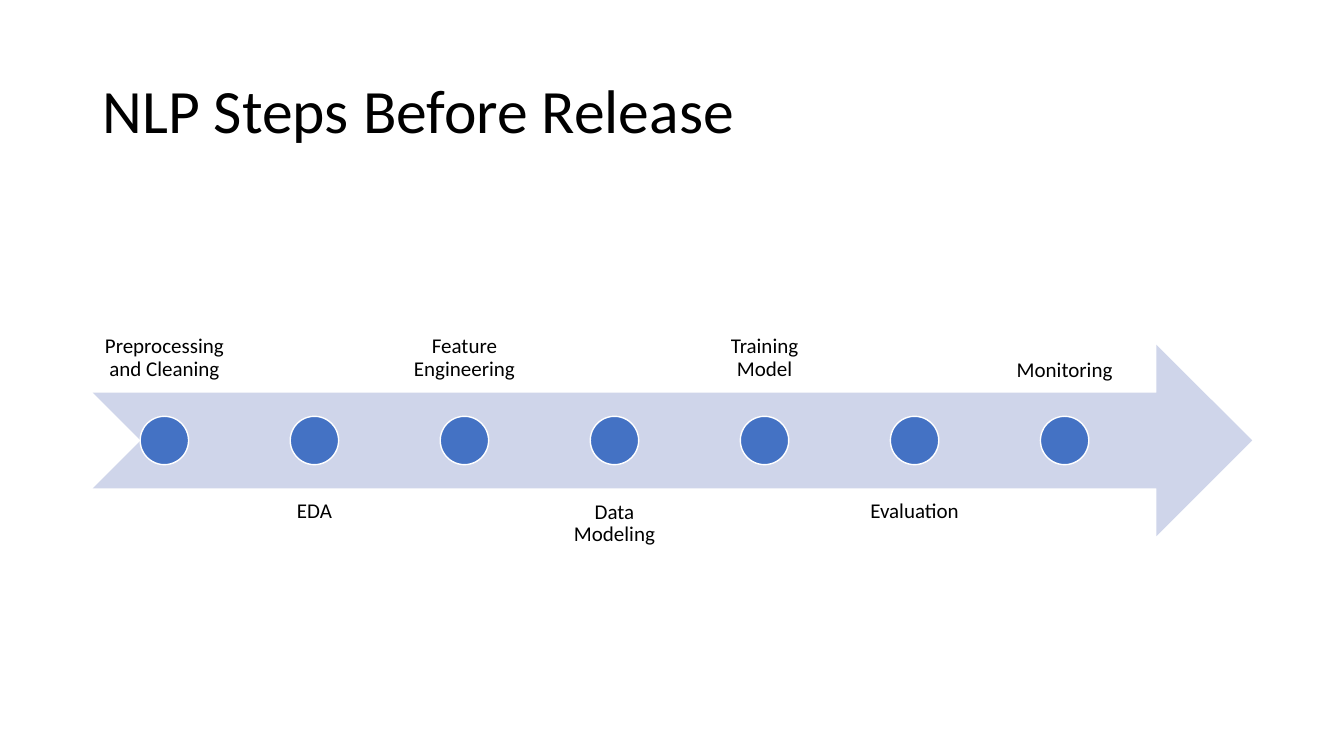
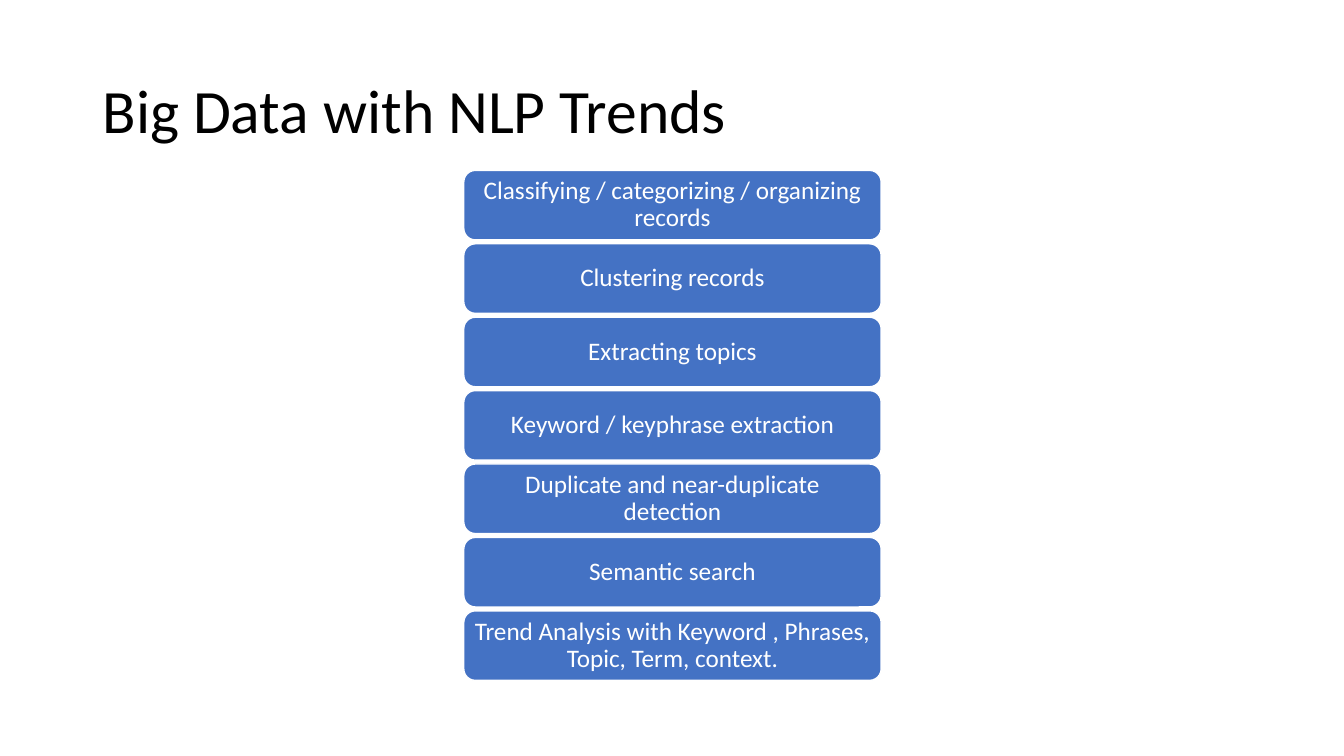
from pptx import Presentation
from pptx.dml.color import RGBColor
from pptx.enum.shapes import MSO_SHAPE
from pptx.enum.text import MSO_ANCHOR, PP_ALIGN
from pptx.util import Inches, Pt

ARROW = MSO_SHAPE.NOTCHED_RIGHT_ARROW
CIRCLE = MSO_SHAPE.OVAL
ROUNDED = MSO_SHAPE.ROUNDED_RECTANGLE
TOP, MIDDLE, BOTTOM = MSO_ANCHOR.TOP, MSO_ANCHOR.MIDDLE, MSO_ANCHOR.BOTTOM
LEFT, CENTER = PP_ALIGN.LEFT, PP_ALIGN.CENTER

BLACK, WHITE, BLUE, PALE_BLUE = "000000", "FFFFFF", "4472C4", "CFD5EA"
FONT = "Calibri"
BLANK_LAYOUT = 6
MARGIN, CONTENT_WIDTH = 0.92, 11.5

STEPS = [
    "Preprocessing and Cleaning",
    "EDA",
    "Feature Engineering",
    "Data Modeling",
    "Training Model",
    "Evaluation",
    "Monitoring",
]
TRENDS = [
    "Classifying / categorizing / organizing records",
    "Clustering records",
    "Extracting topics",
    "Keyword / keyphrase extraction",
    "Duplicate and near-duplicate detection",
    "Semantic search",
    "Trend Analysis with Keyword , Phrases, Topic, Term, context.",
]


def color(value):
    return RGBColor.from_string(value)


def apply_format(target, values):
    for name, value in values.items():
        setattr(target, name, value)


def write_text(shape, text, size, text_color, anchor, alignment, inset_x, inset_y):
    frame = shape.text_frame
    apply_format(frame, {
        "word_wrap": True,
        "vertical_anchor": anchor,
        "margin_left": Inches(inset_x),
        "margin_right": Inches(inset_x),
        "margin_top": Inches(inset_y),
        "margin_bottom": Inches(inset_y),
    })
    paragraph = frame.paragraphs[0]
    apply_format(paragraph, {"alignment": alignment, "line_spacing": 0.9})
    run = paragraph.add_run()
    run.text = text
    apply_format(run.font, {"name": FONT, "size": Pt(size)})
    run.font.color.rgb = color(text_color)


def add_text(slide, box, *text_format):
    shape = slide.shapes.add_textbox(*map(Inches, box))
    write_text(shape, *text_format)


def add_filled_shape(slide, kind, box, fill, outline=None):
    shape = slide.shapes.add_shape(kind, *map(Inches, box))
    shape.shadow.inherit = False
    shape.fill.solid()
    shape.fill.fore_color.rgb = color(fill)
    if outline:
        shape.line.color.rgb = color(outline)
        shape.line.width = Pt(1)
    else:
        shape.line.fill.background()
    return shape


def add_titled_slide(presentation, title):
    slide = presentation.slides.add_slide(presentation.slide_layouts[BLANK_LAYOUT])
    add_text(slide, (MARGIN, 0.4, CONTENT_WIDTH, 1.45),
             title, 44, BLACK, MIDDLE, LEFT, 0.1, 0.05)
    return slide


def add_timeline(slide, steps):
    arrow_top, height = 3.42, 1.9
    label_width, marker_size = 1.42, 0.48
    pitch = label_width * 1.048
    marker_top = arrow_top + (height - marker_size) / 2
    add_filled_shape(slide, ARROW, (MARGIN, arrow_top, CONTENT_WIDTH, height), PALE_BLUE)
    for index, step in enumerate(steps):
        left = MARGIN + index * pitch
        label_top, anchor = (4.85, TOP) if index % 2 else (2, BOTTOM)
        add_text(slide, (left, label_top, label_width, height),
                 step, 15, BLACK, anchor, CENTER, 0.12, 0.12)
        marker_left = left + (label_width - marker_size) / 2
        add_filled_shape(slide, CIRCLE,
                         (marker_left, marker_top, marker_size, marker_size), BLUE, WHITE)


def add_stack(slide, items):
    top, last_top = 1.69, 6.06
    pitch = (last_top - top) / (len(items) - 1)
    for index, item in enumerate(items):
        bar = add_filled_shape(slide, ROUNDED,
                               (4.6, top + index * pitch, 4.14, 0.69), BLUE, WHITE)
        write_text(bar, item, 18, WHITE, MIDDLE, CENTER, 0.07, 0.04)


def main():
    presentation = Presentation()
    apply_format(presentation, {"slide_width": Inches(13.33), "slide_height": Inches(7.5)})
    add_timeline(add_titled_slide(presentation, "NLP Steps Before Release"), STEPS)
    add_stack(add_titled_slide(presentation, "Big Data with NLP Trends"), TRENDS)
    presentation.save("out.pptx")


if __name__ == "__main__":
    main()
